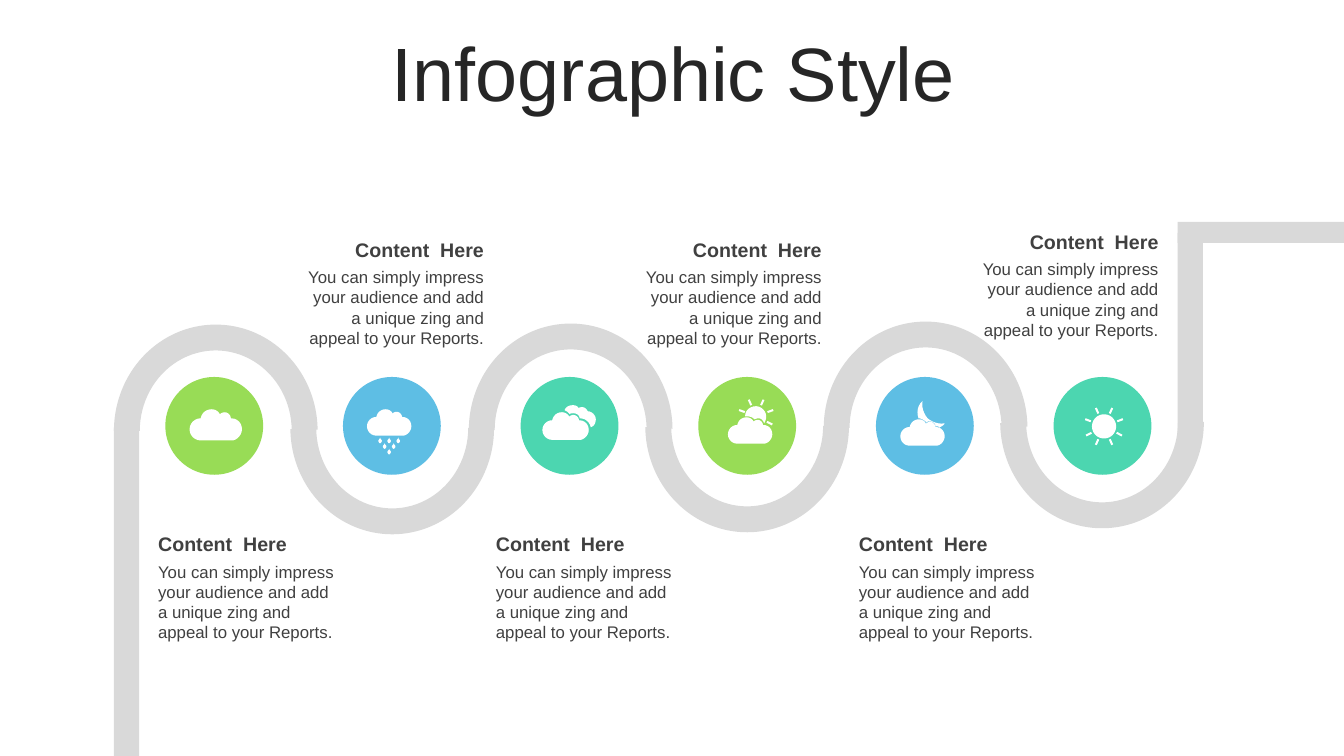
import math

from pptx import Presentation
from pptx import util as u
from pptx.dml import color
from pptx.enum import shapes, text

GREEN, BLUE, TEAL = "98DC56", "5EBEE4", "4CD6B0"
ROAD, WHITE, DARK, TITLE = "D9D9D9", "FFFFFF", "404040", "262626"
BODY = ("You can simply impress your audience and add a unique zing "
        "and appeal to your Reports.")

# Outlines: a start point, then three points for each Bezier segment
CLOUD = [(.22, 0), (.25, 0), (.29, .02), (.30, .05), (.31, .04), (.33, .03), (.35, .03),
         (.38, .03), (.41, .06), (.41, .09), (.48, .09), (.52, .14), (.52, .20),
         (.52, .25), (.48, .30), (.43, .31), (.43, .31), (.11, .31), (.11, .31),
         (.05, .31), (0, .26), (0, .20), (0, .14), (.05, .09), (.11, .09),
         (.12, .04), (.16, 0), (.22, 0)]
DROP = [(0, 0), (0, .01), (.01, .02), (.01, .02), (.02, .03), (.02, .04), (.01, .05),
        (.01, .06), (-.01, .06), (-.01, .05), (-.02, .04), (-.02, .03), (-.01, .02),
        (-.01, .02), (0, .01), (0, 0)]
BACK_CLOUD = [(5.68, 4.02), (5.71, 4.02), (5.73, 4.03), (5.74, 4.05),
              (5.75, 4.04), (5.76, 4.04), (5.78, 4.04), (5.80, 4.04), (5.82, 4.06), (5.83, 4.08),
              (5.87, 4.08), (5.91, 4.12), (5.91, 4.16), (5.91, 4.20), (5.89, 4.23), (5.86, 4.24),
              (5.85, 4.19), (5.81, 4.15), (5.75, 4.15), (5.75, 4.12), (5.72, 4.10), (5.69, 4.10),
              (5.67, 4.10), (5.66, 4.10), (5.65, 4.11), (5.64, 4.09), (5.62, 4.08), (5.60, 4.07),
              (5.61, 4.04), (5.64, 4.02), (5.68, 4.02)]
HALF_SUN = [(7.50, 4.03), (7.55, 4.03), (7.60, 4.08), (7.60, 4.13),
            (7.60, 4.16), (7.59, 4.18), (7.58, 4.20), (7.57, 4.17), (7.55, 4.15), (7.52, 4.15),
            (7.51, 4.15), (7.49, 4.16), (7.48, 4.16), (7.47, 4.14), (7.44, 4.13), (7.39, 4.13),
            (7.39, 4.07), (7.44, 4.03), (7.50, 4.03)]
MOON = [(9.15, 3.98), (9.14, 4.04), (9.16, 4.10), (9.20, 4.15),
        (9.25, 4.19), (9.31, 4.21), (9.37, 4.20), (9.36, 4.22), (9.34, 4.23), (9.32, 4.24),
        (9.31, 4.23), (9.30, 4.23), (9.28, 4.23), (9.28, 4.20), (9.25, 4.18), (9.22, 4.18),
        (9.21, 4.18), (9.20, 4.18), (9.19, 4.19), (9.17, 4.17), (9.14, 4.15), (9.11, 4.15),
        (9.09, 4.09), (9.10, 4.02), (9.15, 3.98)]


def rgb(value):
    return color.RGBColor.from_string(value)


def curve(outline, x=0, y=0, scale=1, steps=6):
    """Turn Bezier segments into points, scaled and moved to x, y."""
    points = [outline[0]]
    for i in range(0, len(outline) - 1, 3):
        a, b, c, d = outline[i:i + 4]
        for n in range(1, steps + 1):
            t = n / steps
            points.append(tuple((1 - t) ** 3 * a[k] + 3 * t * (1 - t) ** 2 * b[k]
                                + 3 * t * t * (1 - t) * c[k] + t ** 3 * d[k] for k in (0, 1)))
    return [(x + px * scale, y + py * scale) for px, py in points]


def cloud(x, y, width):
    return curve(CLOUD, x, y, width / .52)


def disc(x, y, radius, steps=40):
    angles = [2 * math.pi * n / steps for n in range(steps)]
    return [(x + radius * math.cos(a), y + radius * math.sin(a)) for a in angles]


def rays(x, y, inner, outer, angles, half=.01):
    result = []
    for angle in angles:
        c, s = math.cos(math.radians(angle)), math.sin(math.radians(angle))
        corners = [(inner, -half), (outer, -half), (outer, half), (inner, half)]
        result.append([(x + r * c - w * s, y + r * s + w * c) for r, w in corners])
    return result


class Deck:
    font = "Arial"

    def __init__(self, prs):
        self.s = prs.slides.add_slide(prs.slide_layouts[5])

    def paint(self, sp, fill):
        sp.shadow.inherit = False
        sp.fill.solid()
        sp.fill.fore_color.rgb = rgb(fill)
        sp.line.fill.background()

    def shape(self, kind, x, y, w, h, fill):
        sp = self.s.shapes.add_shape(kind, *map(u.Inches, (x, y, w, h)))
        self.paint(sp, fill)
        return sp

    def arc(self, x, y, below):
        sp = self.shape(shapes.MSO_SHAPE.BLOCK_ARC, x, y, 2.02, 2.11, ROAD)
        for i, value in enumerate((108, 215.59, .127)):
            sp.adjustments[i] = value
        sp.rotation = 180 if below else 0

    def icon(self, contours):
        builder = None
        for contour in contours:
            points = [(u.Inches(x), u.Inches(y)) for x, y in contour]
            if builder is None:
                builder = self.s.shapes.build_freeform(*points[0])
            else:
                builder.move_to(*points[0])
            builder.add_line_segments(points[1:], close=True)
        self.paint(builder.convert_to_shape(), WHITE)

    def add_run(self, tf, words, size, fill, align, bold=False):
        tf.word_wrap = True
        p = tf.paragraphs[0]
        p.alignment = align
        r = p.add_run()
        r.text = words
        r.font.name, r.font.size, r.font.bold = self.font, u.Pt(size), bold
        r.font.color.rgb = rgb(fill)
        return p

    def title(self, words):
        sp = self.s.shapes.title
        sp.left, sp.top, sp.width, sp.height = map(u.Inches, (.35, .37, 12.66, .79))
        tf = sp.text_frame
        tf.auto_size = text.MSO_AUTO_SIZE.NONE
        tf.vertical_anchor = text.MSO_ANCHOR.MIDDLE
        self.add_run(tf, words, 54, TITLE, text.PP_ALIGN.CENTER).line_spacing = .9

    def textbox(self, x, y, h, words, size, align, bold=False):
        tf = self.s.shapes.add_textbox(*map(u.Inches, (x, y, 2, h))).text_frame
        tf.auto_size = text.MSO_AUTO_SIZE.SHAPE_TO_FIT_TEXT
        self.add_run(tf, words, size, DARK, align, bold)

    def caption(self, x, y, align):
        self.textbox(x, y, .34, "Content  Here", 14, align, True)
        self.textbox(x, y + .29, .91, BODY, 12, align)


def main():
    prs = Presentation()
    prs.slide_width, prs.slide_height = u.Inches(13.33), u.Inches(7.5)
    deck = Deck(prs)
    deck.title("Infographic Style")

    # Winding road
    for i, top in enumerate((3.22, 3.19, 3.21, 3.17, 3.19, 3.13)):
        deck.arc(1.13 + 3.52 * (i // 2) + 1.75 * (i % 2), top, i % 2)
    for bar in ((1.13, 4.25, .25, 3.25), (11.68, 2.31, .25, 2), (11.68, 2.2, 1.65, .21)):
        deck.shape(shapes.MSO_SHAPE.RECTANGLE, *bar, ROAD)

    # Stops along the road
    for i, fill in enumerate((GREEN, BLUE, TEAL) * 2):
        deck.shape(shapes.MSO_SHAPE.OVAL, 1.64 + 1.762 * i, 3.74, .97, .97, fill)

    # Captions below and above the road
    for x in (1.47, 4.82, 8.42):
        deck.caption(x, 5.23, text.PP_ALIGN.LEFT)
    for x, y in ((2.9, 2.31), (6.25, 2.31), (9.59, 2.23)):
        deck.caption(x, y, text.PP_ALIGN.RIGHT)

    # Weather icons
    drops = [curve(DROP, 3.77 + .045 * row + .09 * n, 4.34 + .055 * row)
             for row in range(3) for n in range(3 - row)]
    deck.icon([cloud(1.88, 4.06, .52)])
    deck.icon([cloud(3.64, 4.06, .44)] + drops)
    deck.icon([cloud(5.38, 4.09, .46), curve(BACK_CLOUD)])
    deck.icon([cloud(7.22, 4.14, .44), curve(HALF_SUN)]
              + rays(7.5, 4.13, .12, .18, (-160, -114, -66, -20, 27)))
    deck.icon([cloud(8.93, 4.16, .44), curve(MOON)])
    deck.icon([disc(10.95, 4.23, .12)]
              + rays(10.95, 4.23, .14, .2, (-159, -114, -66, -21, 27, 66, 114, 153)))

    prs.save("out.pptx")


if __name__ == "__main__":
    main()
